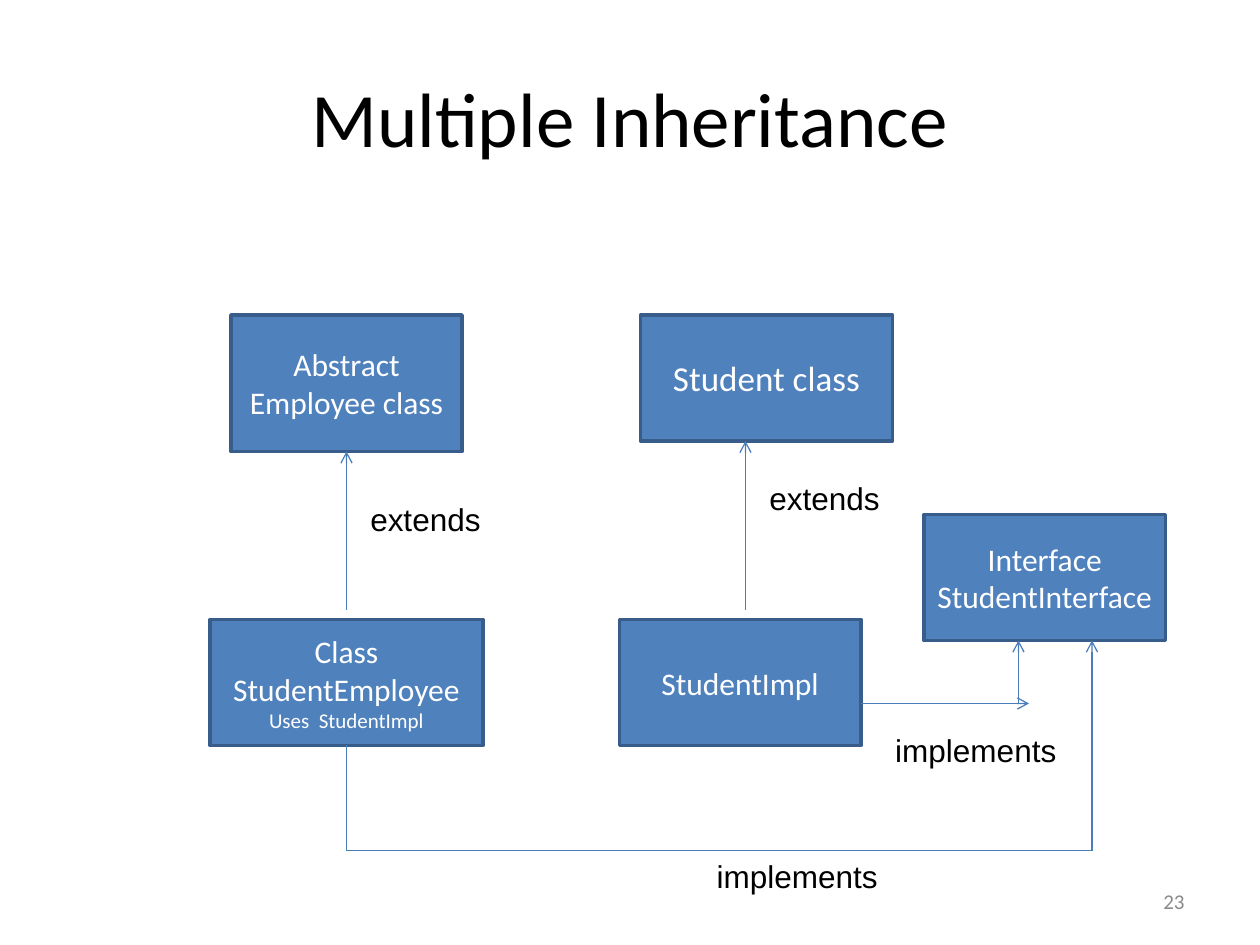
from lxml.etree import SubElement
from pptx import Presentation
from pptx.dml.color import RGBColor
from pptx.enum.shapes import MSO_CONNECTOR, MSO_SHAPE
from pptx.enum.text import MSO_ANCHOR, MSO_AUTO_SIZE, PP_ALIGN
from pptx.oxml.ns import qn
from pptx.util import Pt

COLORS = {
    "box": "4F81BD",
    "border": "385D8A",
    "line": "4A7EBB",
    "white": "FFFFFF",
    "black": "000000",
    "number": "898989",
}


def add_run(p, text, size, color, font="Calibri"):
    r = p.add_run()
    r.text = text
    r.font.size = Pt(size)
    r.font.name = font
    r.font.color.rgb = RGBColor.from_string(COLORS[color])


prs = Presentation()
prs.slide_width, prs.slide_height = Pt(720), Pt(540)
s = prs.slides.add_slide(prs.slide_layouts[5])

title = s.shapes.title
title.left, title.top, title.width, title.height = Pt(36), Pt(21.6), Pt(648), Pt(90)
title.text_frame.vertical_anchor = MSO_ANCHOR.MIDDLE
p = title.text_frame.paragraphs[0]
p.alignment = PP_ALIGN.CENTER
add_run(p, "Multiple Inheritance", 44, "black")

# Class boxes: left, top, width, height, [(text, size), ...]
boxes = [
    (132, 180, 132, 78, [("Abstract Employee class", 18)]),
    (366, 180, 144, 72, [("Student class", 20)]),
    (120, 354, 156, 72, [("Class StudentEmployee", 18), ("Uses  StudentImpl", 12)]),
    (354, 354, 138, 72, [("StudentImpl", 18)]),
    (528, 294, 138, 72, [("Interface StudentInterface", 18)]),
]
for left, top, width, height, lines in boxes:
    sp = s.shapes.add_shape(MSO_SHAPE.RECTANGLE, Pt(left), Pt(top), Pt(width), Pt(height))
    sp.shadow.inherit = False
    sp.fill.solid()
    sp.fill.fore_color.rgb = RGBColor.from_string(COLORS["box"])
    sp.line.color.rgb = RGBColor.from_string(COLORS["border"])
    sp.line.width = Pt(2)
    tf = sp.text_frame
    tf.word_wrap = True
    tf.vertical_anchor = MSO_ANCHOR.MIDDLE
    for i, (text, size) in enumerate(lines):
        p = tf.add_paragraph() if i else tf.paragraphs[0]
        p.alignment = PP_ALIGN.CENTER
        add_run(p, text, size, "white")

# Relations: x1, y1, x2, y2, arrowhead at the end
relations = [
    (198, 348.5, 198, 258, True),
    (426, 348.5, 426, 252, True),
    (492, 402, 588, 402, True),
    (582, 402, 582, 366, True),
    (198, 426, 198, 486, False),
    (198, 486, 624, 486, False),
    (624, 486, 624, 366, True),
]
for x1, y1, x2, y2, arrow in relations:
    c = s.shapes.add_connector(MSO_CONNECTOR.STRAIGHT, Pt(x1), Pt(y1), Pt(x2), Pt(y2))
    c.line.color.rgb = RGBColor.from_string(COLORS["line"])
    c.line.width = Pt(0.75)
    props = c._element.spPr
    if arrow:
        SubElement(props.find(qn("a:ln")), qn("a:tailEnd"), type="arrow")
    SubElement(props, qn("a:effectLst"))

# Relation labels: text, left, top, width
labels = [
    ("implements", 402.5, 486, 108),
    ("implements", 504.5, 414, 108),
    ("extends", 432.5, 270, 79),
    ("extends", 204.5, 282, 79),
]
for text, left, top, width in labels:
    tf = s.shapes.add_textbox(Pt(left), Pt(top), Pt(width), Pt(29)).text_frame
    tf.word_wrap = False
    tf.auto_size = MSO_AUTO_SIZE.SHAPE_TO_FIT_TEXT
    add_run(tf.paragraphs[0], text, 18, "black", "Arial")

tf = s.shapes.add_textbox(Pt(516), Pt(500.5), Pt(168), Pt(29)).text_frame
tf.word_wrap = True
tf.vertical_anchor = MSO_ANCHOR.MIDDLE
p = tf.paragraphs[0]
p.alignment = PP_ALIGN.RIGHT
add_run(p, "23", 12, "number")

prs.save("out.pptx")
